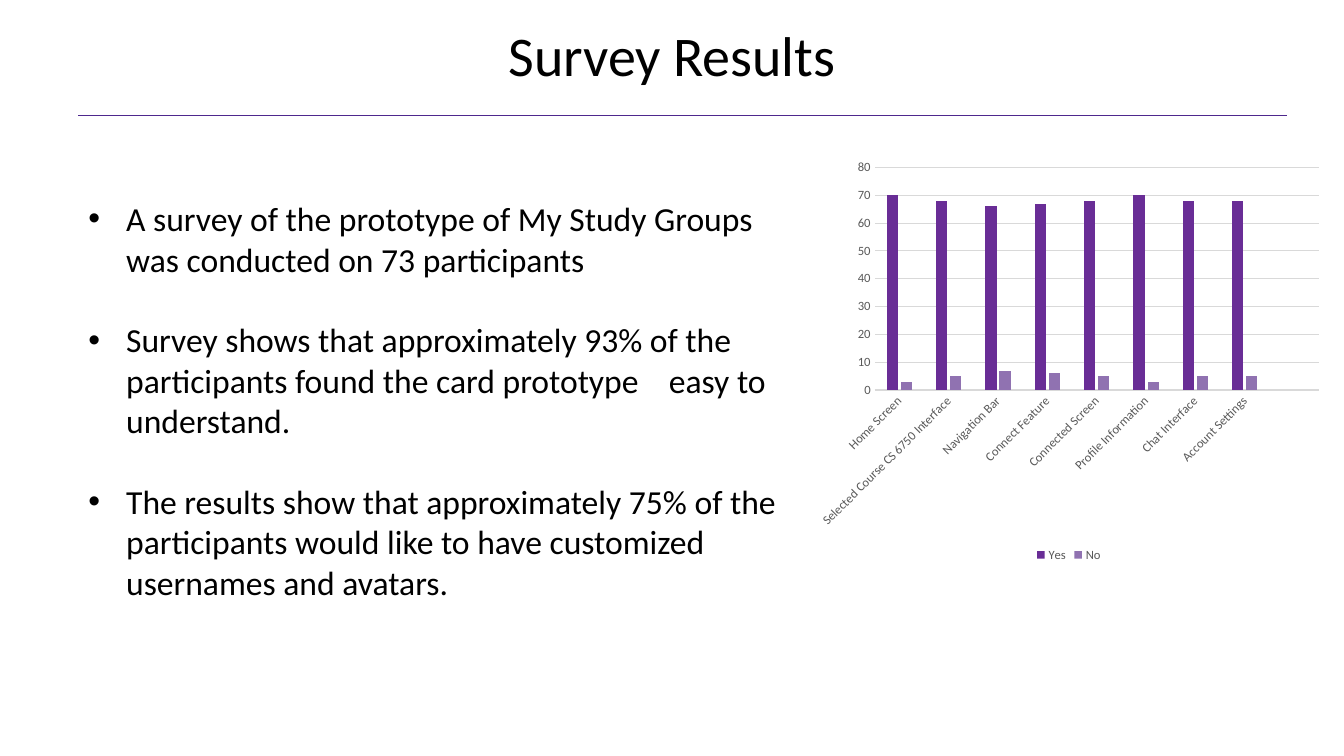
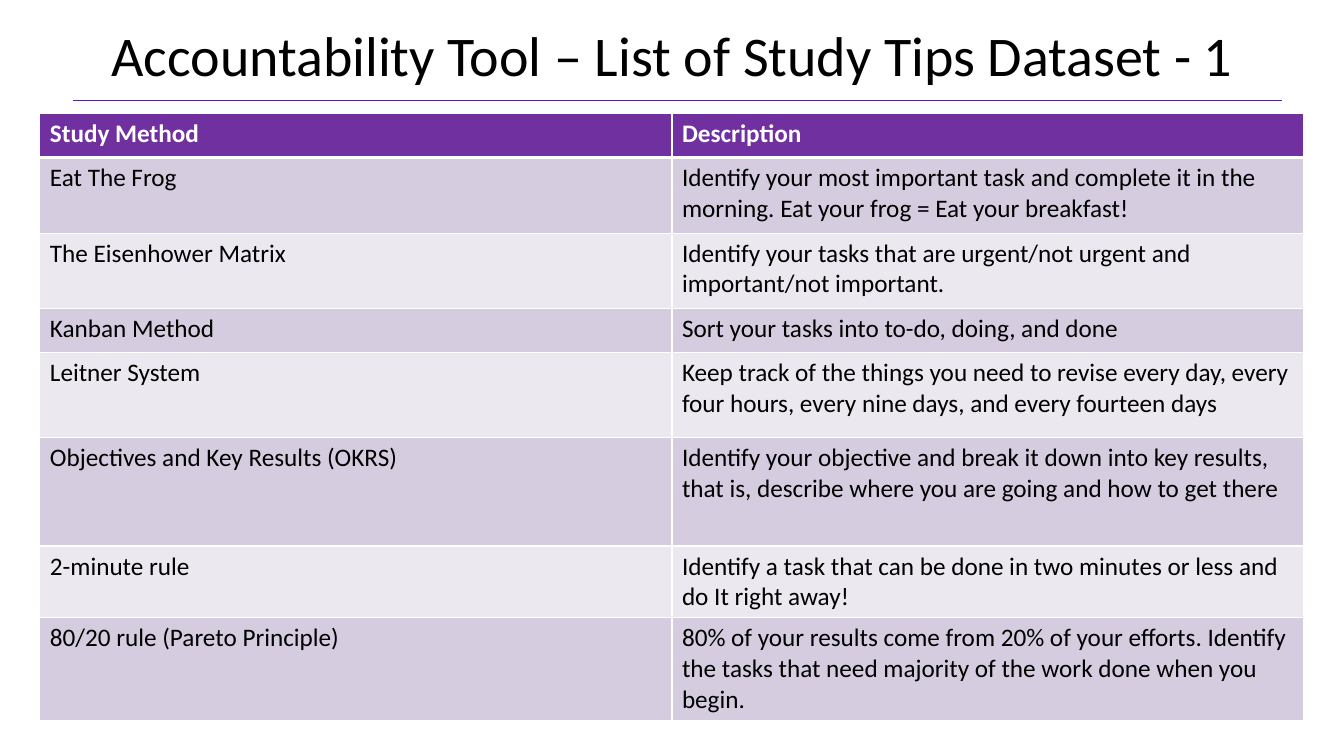
import pptx
import pptx.chart.data
import pptx.dml.color
import pptx.enum.chart
import pptx.enum.shapes
import pptx.enum.text
import pptx.oxml
import pptx.oxml.ns
import pptx.util

Pt = pptx.util.Pt
RGBColor = pptx.dml.color.RGBColor

BLACK = RGBColor(0x00, 0x00, 0x00)
WHITE = RGBColor(0xFF, 0xFF, 0xFF)
GREY_TEXT = RGBColor(0x59, 0x59, 0x59)
GREY_LINE = RGBColor(0xD9, 0xD9, 0xD9)
RULE_PURPLE = RGBColor(0x4E, 0x28, 0x8D)
HEADER_PURPLE = RGBColor(0x70, 0x30, 0xA0)
YES_PURPLE = RGBColor(0x69, 0x2D, 0x96)
NO_PURPLE = RGBColor(0x90, 0x72, 0xB1)
BAND_COLORS = (RGBColor(0xD5, 0xCD, 0xDF), RGBColor(0xEB, 0xE8, 0xF0))

FONT_NAME = "Calibri"
RULE_WIDTH = 863.5

SURVEY_POINTS = [
    "A survey of the prototype of My Study Groups was conducted on 73 participants",
    "Survey shows that approximately 93% of the participants found the card prototype    easy to understand.",
    "The results show that approximately 75% of the participants would like to have customized "
    "usernames and avatars.",
]

# The last category is an empty slot at the right of the chart
SURVEY_SCREENS = [
    "Home Screen", "Selected Course CS 6750 Interface", "Navigation Bar", "Connect Feature",
    "Connected Screen", "Profile Information", "Chat Interface", "Account Settings", "",
]
SURVEY_SERIES = [
    ("Yes", YES_PURPLE, [70, 68, 66, 67, 68, 70, 68, 68, None]),
    ("No", NO_PURPLE, [3, 5, 7, 6, 5, 3, 5, 5, None]),
]

# Row height, study method, description
STUDY_TIPS = [
    (31.5, "Study Method", "Description"),
    (54, "Eat The Frog",
     "Identify your most important task and complete it in the morning. "
     "Eat your frog = Eat your breakfast!"),
    (54, "The Eisenhower Matrix",
     "Identify your tasks that are urgent/not urgent and important/not important."),
    (31.5, "Kanban Method", "Sort your tasks into to-do, doing, and done"),
    (60.5, "Leitner System",
     "Keep track of the things you need to revise every day, every four hours, "
     "every nine days, and every fourteen days"),
    (77.5, "Objectives and Key Results (OKRS)",
     "Identify your objective and break it down into key results, that is, "
     "describe where you are going and how to get there"),
    (50.5, "2-minute rule",
     "Identify a task that can be done in two minutes or less and do It right away!"),
    (73.5, "80/20 rule (Pareto Principle)",
     "80% of your results come from 20% of your efforts. Identify the tasks that need "
     "majority of the work done when you begin."),
]


def set_values(target, values):
    for name, value in values.items():
        setattr(target, name, value)


def style_font(font, size, color, bold=False):
    set_values(font, {"name": FONT_NAME, "size": Pt(size), "bold": bold})
    font.color.rgb = color


def style_line(line, color, width):
    line.color.rgb = color
    line.width = Pt(width)


class Deck:
    def __init__(self):
        self.presentation = pptx.Presentation()
        set_values(self.presentation, {"slide_width": Pt(960), "slide_height": Pt(540)})
        self.slide = None

    def add_slide(self, title, rule_left, rule_top):
        """Start a slide with its centred title and the thin rule below it."""
        self.slide = self.presentation.slides.add_slide(self.presentation.slide_layouts[5])
        shape = self.slide.shapes.title
        set_values(shape, {"left": Pt(45), "top": Pt(11), "width": Pt(870), "height": Pt(55.5)})
        set_values(shape.text_frame, {
            "text": title,
            "word_wrap": True,
            "auto_size": pptx.enum.text.MSO_AUTO_SIZE.NONE,
            "vertical_anchor": pptx.enum.text.MSO_ANCHOR.TOP,
        })
        paragraph = shape.text_frame.paragraphs[0]
        paragraph.alignment = pptx.enum.text.PP_ALIGN.CENTER
        style_font(paragraph.runs[0].font, 40, BLACK)
        self.add_rule(rule_left, rule_top)

    def add_rule(self, left, top):
        connector = self.slide.shapes.add_connector(
            pptx.enum.shapes.MSO_CONNECTOR.STRAIGHT,
            Pt(left), Pt(top), Pt(left + RULE_WIDTH), Pt(top))
        style_line(connector.line, RULE_PURPLE, 0.5)
        connector._element.spPr.append(pptx.oxml.parse_xml(
            f"<a:effectLst {pptx.oxml.ns.nsdecls('a')}/>"))

    def add_bullets(self, left, top, width, height, points):
        shape = self.slide.shapes.add_textbox(Pt(left), Pt(top), Pt(width), Pt(height))
        shape.text_frame.word_wrap = True
        for index, point in enumerate(points):
            paragraph = (shape.text_frame.add_paragraph() if index
                         else shape.text_frame.paragraphs[0])
            paragraph.text = point
            if index:
                paragraph.space_before = Pt(29)
            style_font(paragraph.runs[0].font, 24, BLACK)
            properties = paragraph._p.get_or_add_pPr()
            properties.set("marL", str(Pt(27)))
            properties.set("indent", str(-Pt(27)))
            for tag, key, value in (("buFont", "typeface", "Arial"), ("buChar", "char", "•")):
                properties.append(pptx.oxml.parse_xml(
                    f'<a:{tag} {pptx.oxml.ns.nsdecls("a")} {key}="{value}"/>'))

    def add_column_chart(self, left, top, width, height, categories, series_list):
        chart_data = pptx.chart.data.CategoryChartData()
        chart_data.categories = categories
        for name, _, values in series_list:
            chart_data.add_series(name, values)
        chart = self.slide.shapes.add_chart(
            pptx.enum.chart.XL_CHART_TYPE.COLUMN_CLUSTERED,
            Pt(left), Pt(top), Pt(width), Pt(height), chart_data).chart
        set_values(chart, {"has_title": False, "has_legend": True})
        style_font(chart.font, 10, BLACK)

        # Columns
        plot = chart.plots[0]
        set_values(plot, {"gap_width": 219, "overlap": -27, "vary_by_categories": False})
        for series, (_, color, _) in zip(plot.series, series_list):
            series.format.fill.solid()
            series.format.fill.fore_color.rgb = color

        # Legend
        set_values(chart.legend, {
            "position": pptx.enum.chart.XL_LEGEND_POSITION.BOTTOM,
            "include_in_layout": False,
        })
        style_font(chart.legend.font, 9, GREY_TEXT)

        # Axes
        for axis in (chart.category_axis, chart.value_axis):
            set_values(axis, {
                "major_tick_mark": pptx.enum.chart.XL_TICK_MARK.NONE,
                "minor_tick_mark": pptx.enum.chart.XL_TICK_MARK.NONE,
            })
            style_font(axis.tick_labels.font, 9, GREY_TEXT)
        style_line(chart.category_axis.format.line, GREY_LINE, 0.75)
        label_body = chart.category_axis._element.find(
            f"{pptx.oxml.ns.qn('c:txPr')}/{pptx.oxml.ns.qn('a:bodyPr')}")
        label_body.set("rot", str(-45 * 60000))
        set_values(chart.value_axis, {
            "minimum_scale": 0, "maximum_scale": 80, "major_unit": 10,
            "has_major_gridlines": True,
        })
        chart.value_axis.format.line.fill.background()
        style_line(chart.value_axis.major_gridlines.format.line, GREY_LINE, 0.75)

    def add_table(self, left, top, width, rows):
        """Rows hold a height and the cell texts; the first row is the header."""
        column_count = len(rows[0]) - 1
        table = self.slide.shapes.add_table(
            len(rows), column_count, Pt(left), Pt(top), Pt(width),
            Pt(sum(row[0] for row in rows))).table
        for column in table.columns:
            column.width = Pt(width / column_count)
        for row_index, (height, *texts) in enumerate(rows):
            table.rows[row_index].height = Pt(height)
            is_header = row_index == 0
            fill_color = HEADER_PURPLE if is_header else BAND_COLORS[(row_index - 1) % 2]
            for column_index, text in enumerate(texts):
                cell = table.cell(row_index, column_index)
                cell.text = text
                style_font(cell.text_frame.paragraphs[0].runs[0].font, 18,
                           WHITE if is_header else BLACK, is_header)
                self.add_cell_borders(cell, {
                    "L": 1, "R": 1,
                    "T": 3 if row_index == 1 else 1,
                    "B": 3 if is_header else 1,
                })
                cell.fill.solid()
                cell.fill.fore_color.rgb = fill_color

    def add_cell_borders(self, cell, widths):
        properties = cell._tc.get_or_add_tcPr()
        for side, width in widths.items():
            properties.append(pptx.oxml.parse_xml(
                f'<a:ln{side} {pptx.oxml.ns.nsdecls("a")} w="{Pt(width)}">'
                f'<a:solidFill><a:srgbClr val="{WHITE}"/></a:solidFill></a:ln{side}>'))


def main():
    deck = Deck()

    # Survey results
    deck.add_slide("Survey Results", rule_left=56, rule_top=82.5)
    deck.add_bullets(56, 138, 506, 300, SURVEY_POINTS)
    deck.add_column_chart(577.5, 108.5, 372, 296, SURVEY_SCREENS, SURVEY_SERIES)

    # Study tips
    deck.add_slide("Accountability Tool – List of Study Tips Dataset - 1",
                   rule_left=52, rule_top=72)
    deck.add_table(28.5, 81, 903, STUDY_TIPS)

    deck.presentation.save("out.pptx")


if __name__ == "__main__":
    main()
